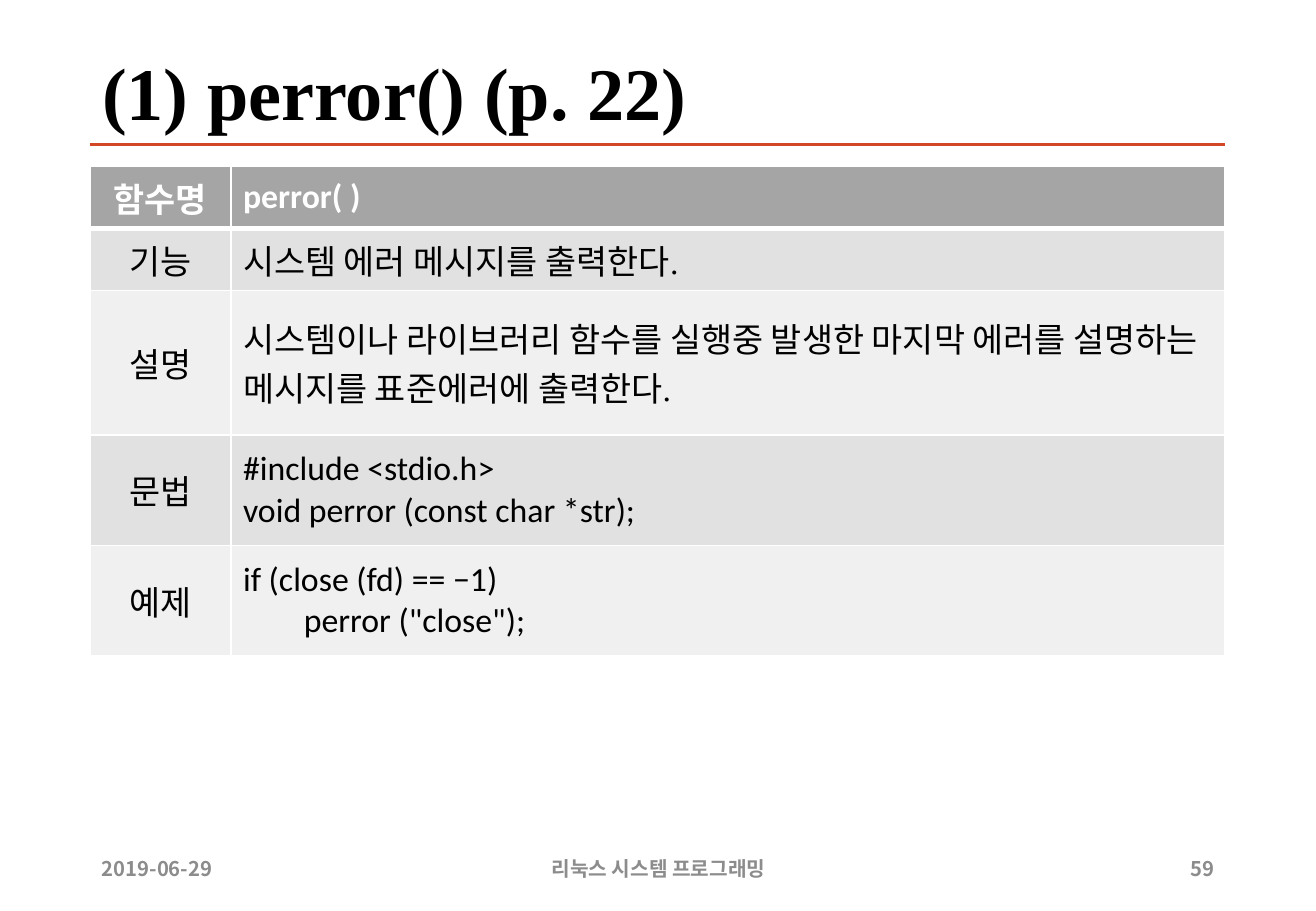
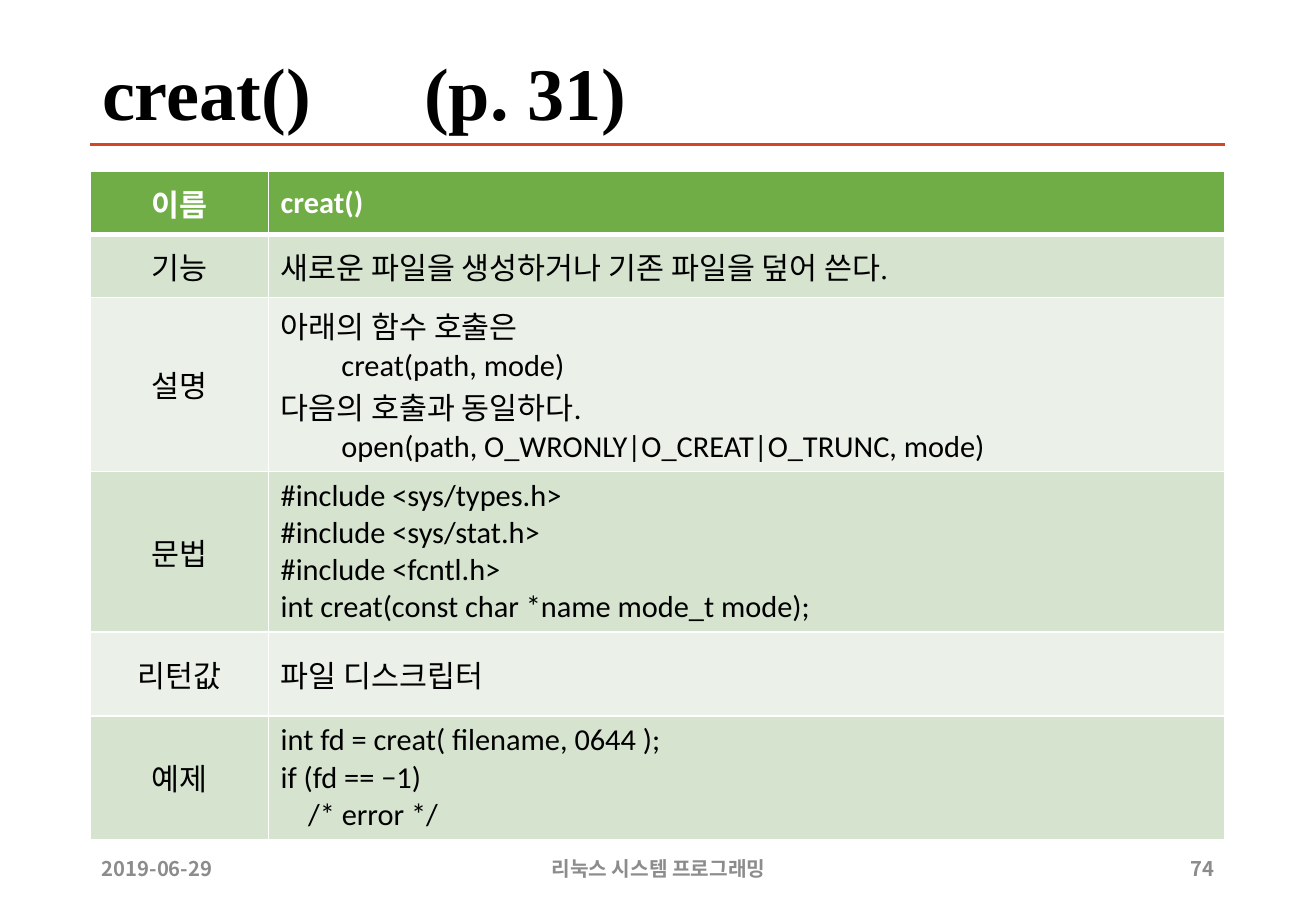
from lxml.etree import SubElement
from pptx import Presentation
from pptx.dml.color import RGBColor
from pptx.enum.shapes import MSO_CONNECTOR
from pptx.enum.text import MSO_ANCHOR, MSO_AUTO_SIZE, PP_ALIGN
from pptx.oxml.ns import qn
from pptx.util import Inches, Pt

BLACK = RGBColor(0x00, 0x00, 0x00)
WHITE = RGBColor(0xFF, 0xFF, 0xFF)
ACCENT = RGBColor(0xD2, 0x47, 0x26)
FOOTER_GRAY = RGBColor(0x8C, 0x8C, 0x8C)

# Header fill, then the two alternating row fills
GRAYS = (RGBColor(0xA5, 0xA5, 0xA5), RGBColor(0xE1, 0xE1, 0xE1), RGBColor(0xF0, 0xF0, 0xF0))
GREENS = (RGBColor(0x70, 0xAD, 0x47), RGBColor(0xD5, 0xE3, 0xCF), RGBColor(0xEB, 0xF1, 0xE9))

SERIF = "Times New Roman"
SANS = "Calibri"
KOREAN = "Noto Sans CJK KR"

LEFT, WIDTH = 0.74, 9.34
FOOTER_TOP, FOOTER_HEIGHT = 6.95, 0.4

# Rows: label, lines, font of the lines, height. A line that starts with a tab is indented.
PERROR_ROWS = [
    ("함수명", ["perror( )"], SANS, 0.51),
    ("기능", ["시스템 에러 메시지를 출력한다."], SERIF, 0.51),
    ("설명", ["시스템이나 라이브러리 함수를 실행중 발생한 마지막 에러를 설명하는 "
            "메시지를 표준에러에 출력한다."], SERIF, 1.19),
    ("문법", ["#include <stdio.h>", "void perror (const char *str);"], SANS, 0.91),
    ("예제", ["if (close (fd) == −1)", "\tperror (\"close\");"], SANS, 0.91),
]
CREAT_ROWS = [
    ("이름", ["creat()"], SANS, 0.52),
    ("기능", ["새로운 파일을 생성하거나 기존 파일을 덮어 쓴다."], SERIF, 0.52),
    ("설명", ["아래의 함수 호출은", "\tcreat(path, mode)", "다음의 호출과 동일하다.",
            "\topen(path, O_WRONLY|O_CREAT|O_TRUNC, mode)"], SANS, 0.62),
    ("문법", ["#include <sys/types.h>", "#include <sys/stat.h>", "#include <fcntl.h>",
            "int creat(const char *name mode_t mode);"], SANS, 0.92),
    ("리턴값", ["파일 디스크립터"], SERIF, 0.69),
    ("예제", ["int fd = creat( filename, 0644 );", "if (fd == −1)", "    /* error */"], SANS, 0.52),
]


def write(tf, lines, *, size, font, color=BLACK, bold=False, align=PP_ALIGN.LEFT):
    """Fill a text frame with one paragraph per line and return the paragraphs."""
    for i, line in enumerate(lines):
        p = tf.paragraphs[0] if i == 0 else tf.add_paragraph()
        p.alignment = align
        if line.startswith("\t"):
            p.level = 1
            pPr = p._p.get_or_add_pPr()
            pPr.set("marL", str(Inches(0.5)))
            pPr.set("indent", "0")
        r = p.add_run()
        r.text = line.lstrip("\t")
        r.font.size, r.font.name, r.font.bold = Pt(size), font, bold
        r.font.color.rgb = color
        SubElement(r.font._element, qn("a:ea"), typeface=KOREAN)
    return tf.paragraphs


def add_title(slide, text, tab_stop):
    sp = slide.shapes.title
    sp.left, sp.top, sp.width, sp.height = map(Inches, (LEFT, 0.4, WIDTH, 0.79))
    tf = sp.text_frame
    tf.auto_size = MSO_AUTO_SIZE.NONE
    tf.vertical_anchor = MSO_ANCHOR.MIDDLE
    p = write(tf, [text], size=44, font=SERIF, bold=True)[0]
    p.line_spacing = 0.9
    if tab_stop:
        tabs = SubElement(p._p.get_or_add_pPr(), qn("a:tabLst"))
        SubElement(tabs, qn("a:tab"), pos=str(Inches(tab_stop)), algn="l")


def add_title_rule(slide):
    y = Inches(1.19)
    rule = slide.shapes.add_connector(
        MSO_CONNECTOR.STRAIGHT, Inches(LEFT), y, Inches(LEFT + WIDTH), y)
    rule.line.color.rgb = ACCENT
    rule.line.width = Pt(2)
    SubElement(rule._element.spPr, qn("a:effectLst"))


def add_footer(slide, number):
    for text, left, width, align in (
        ("2019-06-29", LEFT, 1.27, PP_ALIGN.LEFT),
        ("리눅스 시스템 프로그래밍", 3.59, 3.66, PP_ALIGN.CENTER),
        (str(number), 9.56, 0.53, PP_ALIGN.RIGHT),
    ):
        box = slide.shapes.add_textbox(
            Inches(left), Inches(FOOTER_TOP), Inches(width), Inches(FOOTER_HEIGHT))
        tf = box.text_frame
        tf.word_wrap = True
        tf.vertical_anchor = MSO_ANCHOR.MIDDLE
        write(tf, [text], size=12, font=KOREAN, color=FOOTER_GRAY, bold=True, align=align)


def add_borders(cell, **widths):
    """Draw white borders; call it before the cell is filled."""
    tcPr = cell._tc.get_or_add_tcPr()
    for side in ("L", "R", "T", "B"):
        ln = SubElement(tcPr, qn(f"a:ln{side}"), w=str(Pt(widths.get(side, 1))))
        fill = SubElement(ln, qn("a:solidFill"))
        SubElement(fill, qn("a:srgbClr"), val=str(WHITE))


def add_function_table(slide, rows, *, top, label_width, size, fills):
    height = sum(row[-1] for row in rows)
    table = slide.shapes.add_table(
        len(rows), 2, Inches(LEFT), Inches(top), Inches(WIDTH), Inches(height)).table
    table.horz_banding = False
    table.columns[0].width = Inches(label_width)
    table.columns[1].width = Inches(WIDTH - label_width)
    header_fill, *bands = fills
    for i, (label, lines, font, row_height) in enumerate(rows):
        table.rows[i].height = Inches(row_height)
        header = i == 0
        contents = (([label], SANS, PP_ALIGN.CENTER), (lines, font, PP_ALIGN.LEFT))
        for cell, (texts, face, align) in zip(table.rows[i].cells, contents):
            add_borders(cell, B=3 if header else 1, T=3 if i == 1 else 1)
            cell.fill.solid()
            cell.fill.fore_color.rgb = header_fill if header else bands[(i - 1) % 2]
            cell.vertical_anchor = MSO_ANCHOR.MIDDLE
            write(cell.text_frame, texts, size=size, font=face, bold=header,
                  color=WHITE if header else BLACK, align=align)


def add_function_slide(prs, title, number, rows, *, tab_stop=None, **table_format):
    slide = prs.slides.add_slide(prs.slide_layouts[5])
    add_title_rule(slide)
    add_title(slide, title, tab_stop)
    add_function_table(slide, rows, **table_format)
    add_footer(slide, number)


def main():
    prs = Presentation()
    prs.slide_width, prs.slide_height = Inches(10.83), Inches(7.5)
    add_function_slide(prs, "(1) perror() (p. 22)", 59, PERROR_ROWS,
                       top=1.37, label_width=1.16, size=20, fills=GRAYS)
    add_function_slide(prs, "creat()\t(p. 31)", 74, CREAT_ROWS, tab_stop=2.65,
                       top=1.41, label_width=1.47, size=18, fills=GREENS)
    prs.save("out.pptx")


if __name__ == "__main__":
    main()
